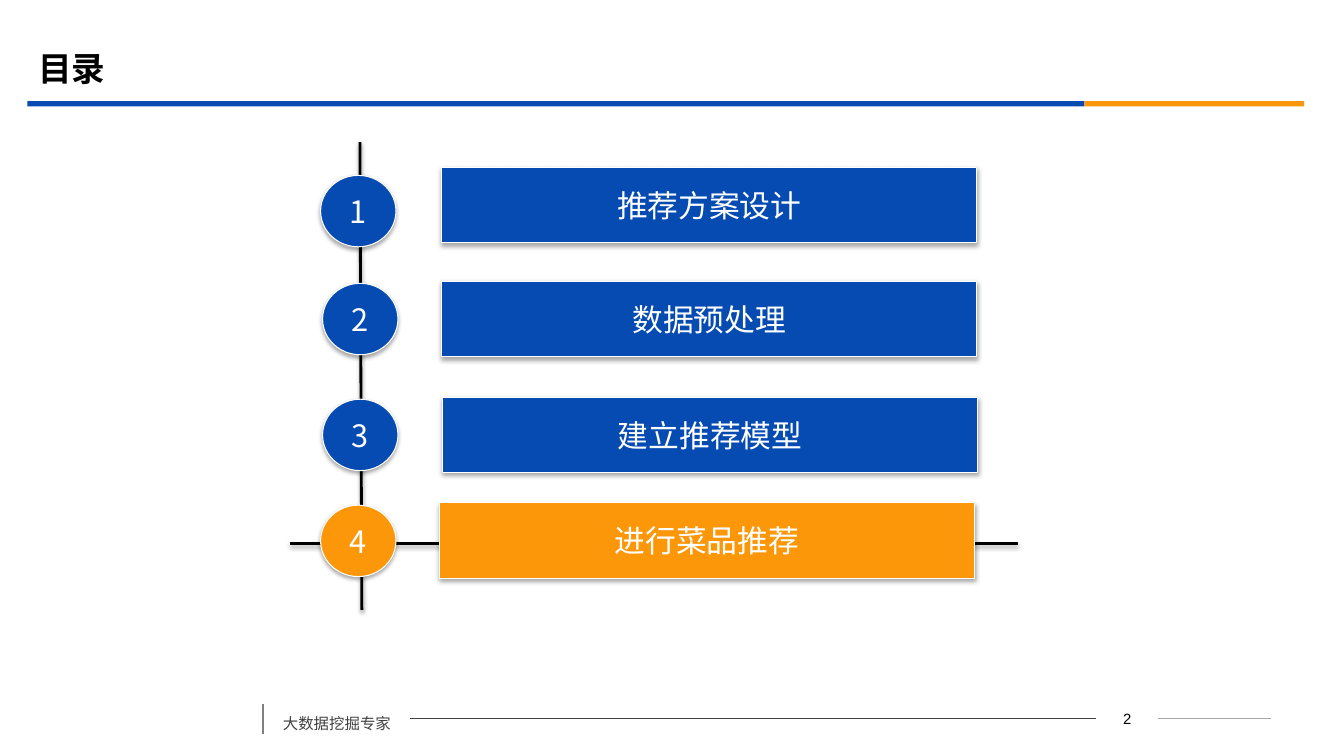
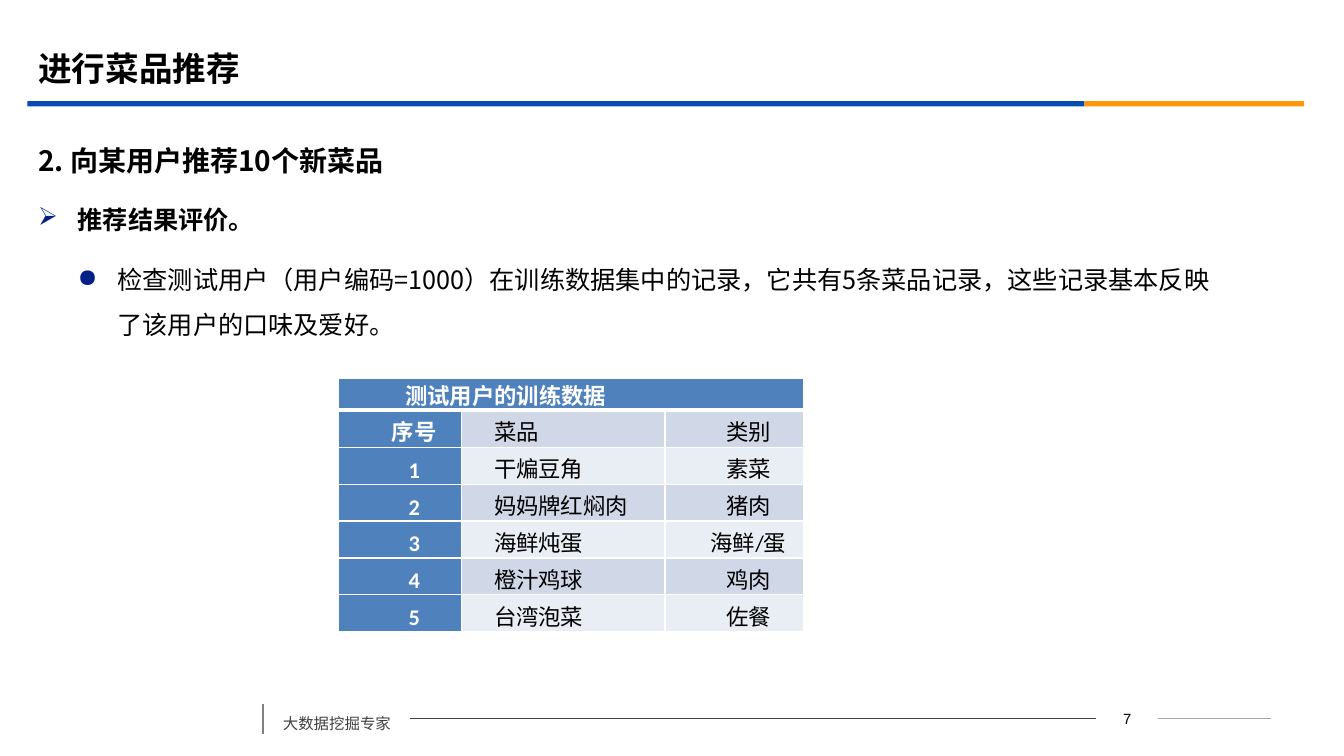
from lxml import etree
from pptx import Presentation
from pptx import util as u
from pptx.dml.color import RGBColor
from pptx.enum import shapes as kind, text as txt
from pptx.oxml import ns

Cm, Pt = u.Cm, u.Pt
rgb = RGBColor.from_string
BLUE, GOLD, WHITE, BLACK = "064BB2", "FB9708", "FFFFFF", "000000"
SANS = "Noto Sans CJK SC"
MID = txt.PP_ALIGN.CENTER


def add_run(para, words, size, color=BLACK, bold=False, face=SANS):
    run = para.add_run()
    run.text = words
    font = run.font
    font.size, font.bold, font.name = Pt(size), bold, face
    font.color.rgb = rgb(color)
    etree.SubElement(run._r.rPr, ns.qn("a:ea"), typeface=SANS)


def cast(shape, alpha=0):
    """Give a shape a soft shadow below it, or none when alpha is 0."""
    effect = etree.SubElement(shape._element.spPr, ns.qn("a:effectLst"))
    if alpha:
        outer = etree.SubElement(effect, ns.qn("a:outerShdw"), blurRad="40000",
                                 dist="22000", dir="5400000", rotWithShape="0")
        tone = etree.SubElement(outer, ns.qn("a:srgbClr"), val=BLACK)
        etree.SubElement(tone, ns.qn("a:alpha"), val=str(alpha * 1000))


deck = Presentation()
deck.slide_width, deck.slide_height = Cm(33.87), Cm(19.05)

# Shared frame: title, header band, footer
pages = []
for name, number in [("目录", "2"), ("进行菜品推荐", "7")]:
    page = deck.slides.add_slide(deck.slide_layouts[5])
    pages.append(page)

    title = page.shapes.title
    title.left, title.top, title.width, title.height = Cm(0.71), Cm(0.99), Cm(30.48), Cm(1.47)
    frame = title.text_frame
    frame.auto_size = txt.MSO_AUTO_SIZE.NONE
    frame.vertical_anchor = txt.MSO_ANCHOR.MIDDLE
    para = frame.paragraphs[0]
    para.alignment = txt.PP_ALIGN.LEFT
    add_run(para, name, 24, bold=True)

    for left, width, color in [(0.69, 26.64, BLUE), (27.33, 5.54, GOLD)]:
        band = page.shapes.add_shape(kind.MSO_SHAPE.RECTANGLE, Cm(left), Cm(2.55), Cm(width), Cm(0.13))
        band.fill.solid()
        band.fill.fore_color.rgb = rgb(color)
        band.line.fill.background()
        cast(band)

    for x1, y1, x2, y2, color, weight in [
        (29.18, 18.1, 32.03, 18.1, "A6A6A6", 0.75),
        (10.34, 18.1, 27.61, 18.1, "404040", 0.75),
        (6.63, 17.73, 6.63, 18.49, "808080", 1.25),
    ]:
        rule = page.shapes.add_connector(kind.MSO_CONNECTOR.STRAIGHT, Cm(x1), Cm(y1), Cm(x2), Cm(y2))
        rule.line.color.rgb = rgb(color)
        rule.line.width = Pt(weight)
        cast(rule)

    motto = page.shapes.add_textbox(Cm(6.88), Cm(17.63), Cm(3.46), Cm(0.97))
    motto.text_frame.word_wrap = True
    para = motto.text_frame.paragraphs[0]
    para.line_spacing, para.space_before = 1.5, Pt(6)
    add_run(para, "大数据挖掘专家", 11, "404040")

    folio = page.shapes.add_textbox(Cm(27.61), Cm(17.75), Cm(1.6), Cm(0.64))
    folio.text_frame.word_wrap = True
    para = folio.text_frame.paragraphs[0]
    para.alignment = MID
    add_run(para, number, 10.6, face="Arial")

agenda, result = pages

# Agenda: crossing lines behind the steps
for x1, y1, x2, y2 in [(9.07, 3.58, 9.12, 15.37), (7.32, 13.7, 25.65, 13.7)]:
    axis = agenda.shapes.add_connector(kind.MSO_CONNECTOR.STRAIGHT, Cm(x1), Cm(y1), Cm(x2), Cm(y2))
    axis.line.color.rgb = rgb(BLACK)
    axis.line.width = Pt(2)
    cast(axis, 38)

# Agenda: a numbered disc and a bar for each step
steps = [
    ("推荐方案设计", 8.08, 4.42, 11.13, 4.22, BLUE),
    ("数据预处理", 8.13, 7.14, 11.13, 7.09, BLUE),
    ("建立推荐模型", 8.13, 10.06, 11.15, 10.01, BLUE),
    ("进行菜品推荐", 8.08, 12.73, 11.07, 12.67, GOLD),
]
for count, (label, disc_x, disc_y, bar_x, bar_y, color) in enumerate(steps, 1):
    for form, words, left, top, width, height in [
        (kind.MSO_SHAPE.ACTION_BUTTON_CUSTOM, label, bar_x, bar_y, 13.49, 1.9),
        (kind.MSO_SHAPE.OVAL, str(count), disc_x, disc_y, 1.9, 1.8),
    ]:
        step = agenda.shapes.add_shape(form, Cm(left), Cm(top), Cm(width), Cm(height))
        step.fill.solid()
        step.fill.fore_color.rgb = rgb(color)
        step.line.color.rgb = rgb(WHITE)
        step.line.width = Pt(0.75)
        cast(step, 35)
        frame = step.text_frame
        frame.word_wrap = False
        frame.vertical_anchor = txt.MSO_ANCHOR.MIDDLE
        frame.paragraphs[0].alignment = MID
        add_run(frame.paragraphs[0], words, 22, WHITE)

# Result: heading
head = result.shapes.add_textbox(Cm(0.71), Cm(3.45), Cm(30.86), Cm(1.19))
head.text_frame.word_wrap = True
head.text_frame.vertical_anchor = txt.MSO_ANCHOR.MIDDLE
para = head.text_frame.paragraphs[0]
para.space_before = Pt(4)
add_run(para, "2. 向某用户推荐10个新菜品", 20, bold=True)

# Result: bulleted points
body = result.shapes.add_textbox(Cm(0.71), Cm(4.65), Cm(30.48), Cm(4.4))
frame = body.text_frame
frame.word_wrap = True
points = [
    ("➢", "推荐结果评价。", True),
    ("●", "检查测试用户（用户编码=1000）在训练数据集中的记录，它共有5条菜品记录，"
          "这些记录基本反映了该用户的口味及爱好。", False),
]
for level, (mark, words, bold) in enumerate(points, 1):
    para = frame.paragraphs[0] if level == 1 else frame.add_paragraph()
    para.line_spacing, para.space_before = 1.5, Pt(10)
    props = para._p.get_or_add_pPr()
    props.set("marL", str(Cm(level)))
    props.set("indent", str(-Cm(1)))
    tint = etree.SubElement(props, ns.qn("a:buClr"))
    etree.SubElement(tint, ns.qn("a:srgbClr"), val="032089")
    etree.SubElement(props, ns.qn("a:buChar"), char=mark)
    add_run(para, words, 18, bold=bold)

# Result: table of the user's records
rows = [
    ("测试用户的训练数据", "", ""),
    ("序号", "菜品", "类别"),
    ("1", "干煸豆角", "素菜"),
    ("2", "妈妈牌红焖肉", "猪肉"),
    ("3", "海鲜炖蛋", "海鲜/蛋"),
    ("4", "橙汁鸡球", "鸡肉"),
    ("5", "台湾泡菜", "佐餐"),
]
table = result.shapes.add_table(len(rows), 3, Cm(8.53), Cm(9.53), Cm(11.71), Cm(6.39)).table
for col, width in zip(table.columns, [3.1, 5.13, 3.48]):
    col.width = Cm(width)
table.cell(0, 0).merge(table.cell(0, 2))

for r, row in enumerate(rows):
    table.rows[r].height = Cm(0.93 if r else 0.81)
    for c, words in enumerate(row):
        cell = table.cell(r, c)
        dark = r == 0 or c == 0
        cell.fill.solid()
        cell.fill.fore_color.rgb = rgb("4F81BD" if dark else "D0D8E8" if r % 2 else "E9EDF4")
        cell.vertical_anchor = txt.MSO_ANCHOR.BOTTOM
        cell.margin_left = cell.margin_right = Cm(0.1)
        cell.margin_top = cell.margin_bottom = 0

        # White borders, thick below the top row
        for spot, side in enumerate(["L", "R", "T", "B"]):
            thick = (r, side) in [(0, "B"), (1, "T")]
            edge = etree.Element(ns.qn("a:ln" + side), w=str(Pt(3 if thick else 1)))
            paint = etree.SubElement(edge, ns.qn("a:solidFill"))
            etree.SubElement(paint, ns.qn("a:srgbClr"), val=WHITE)
            cell._tc.tcPr.insert(spot, edge)

        if words:
            para = cell.text_frame.paragraphs[0]
            para.alignment = MID if r and c != 1 else txt.PP_ALIGN.LEFT
            inset = str(Cm(0.36 if r else 0.79))
            props = para._p.get_or_add_pPr()
            props.set("marL", inset)
            props.set("indent", inset)
            add_run(para, words, 16, WHITE if dark else BLACK, dark, "Calibri")

deck.save("out.pptx")
